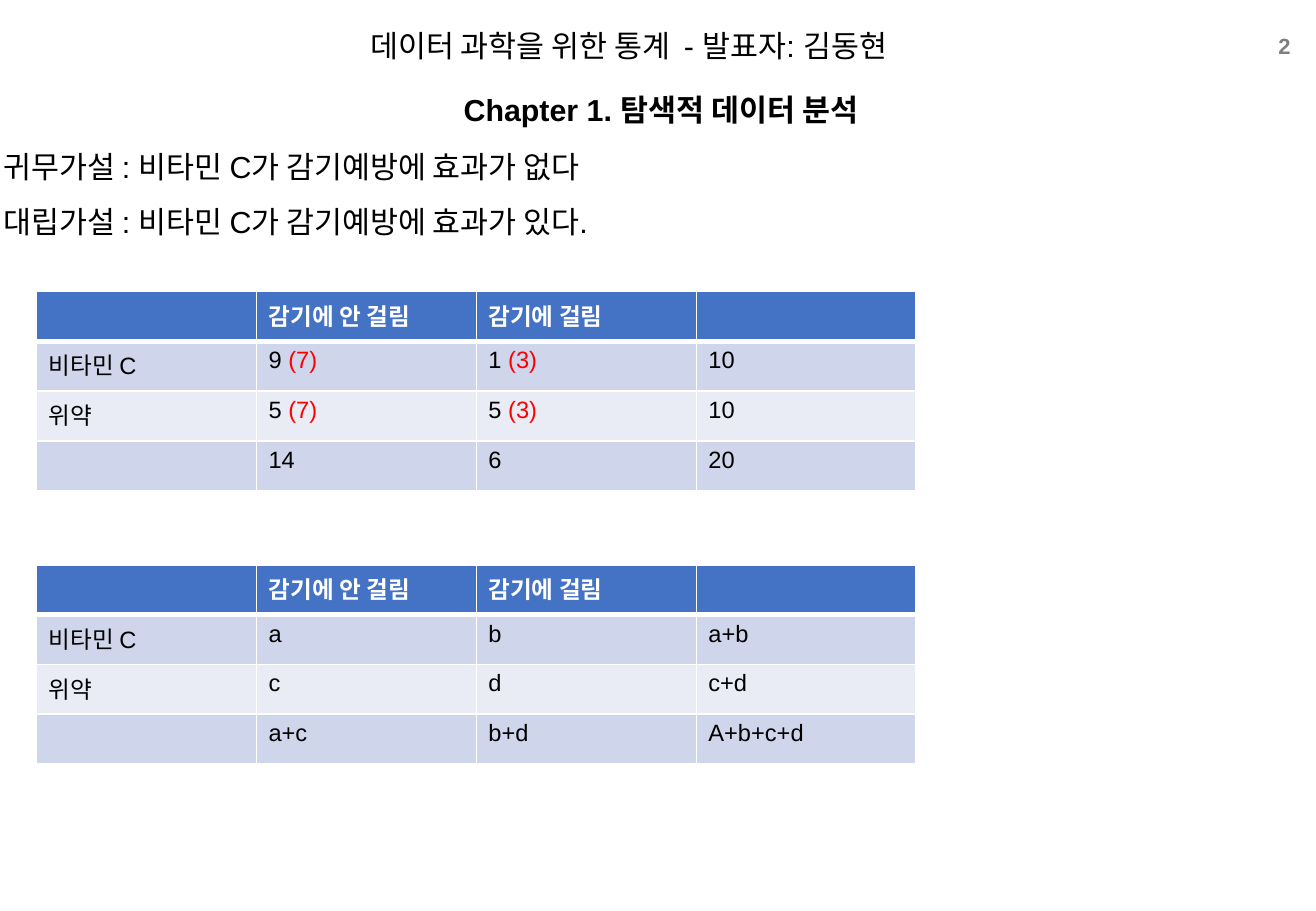
from pptx import Presentation
from pptx.dml.color import RGBColor as Rgb
from pptx.enum.text import MSO_ANCHOR as Anchor, PP_ALIGN as Align
from pptx.oxml import parse_xml
from pptx.oxml.ns import nsdecls
from pptx.util import Inches, Pt

WIDE, HIGH = 10.83, 7.5
LEFT, COL, ROW = 0.3, 1.81, 0.41
FONT = "Arial"
HUES = {
    "ink": "000000", "page": "7F7F7F", "white": "FFFFFF", "red": "FF0000",
    "head": "4472C4", "odd": "CFD5EA", "even": "E9EBF5",
}
HEAD = ["", "감기에 안 걸림", "감기에 걸림", ""]
COUNTS = [
    HEAD,
    ["비타민 C", "9 (7)", "1 (3)", "10"],
    ["위약", "5 (7)", "5 (3)", "10"],
    ["", "14", "6", "20"],
]
TERMS = [
    HEAD,
    ["비타민 C", "a", "b", "a+b"],
    ["위약", "c", "d", "c+d"],
    ["", "a+c", "b+d", "A+b+c+d"],
]


def hue(name):
    return Rgb.from_string(HUES[name])


def style(para, size, tint="ink", bold=False):
    font = para.font
    font.name, font.size, font.bold = FONT, Pt(size), bold
    font.color.rgb = hue(tint)


def add_text(slide, box, lines, size=18, tint="ink", bold=False,
             align=Align.CENTER, space=1.0, anchor=Anchor.TOP, pad=(0.1, 0.05)):
    frame = slide.shapes.add_textbox(*map(Inches, box)).text_frame
    frame.word_wrap = True
    frame.vertical_anchor = anchor
    frame.margin_left = frame.margin_right = Inches(pad[0])
    frame.margin_top = frame.margin_bottom = Inches(pad[1])
    frame.text = "\n".join(lines)
    for para in frame.paragraphs:
        style(para, size, tint, bold)
        para.alignment, para.line_spacing = align, space


def add_edge(cell, side, width):
    line = parse_xml(
        f'<a:ln{side} {nsdecls("a")} w="{Pt(width)}"><a:solidFill>'
        f'<a:srgbClr val="{HUES["white"]}"/></a:solidFill></a:ln{side}>')
    props = cell._tc.get_or_add_tcPr()
    props.insert("LRTB".index(side), line)


def fill_cell(cell, text, row):
    para = cell.text_frame.paragraphs[0]
    style(para, 14, "ink" if row else "white", bold=row == 0)
    count, mark, rest = text.partition("(")
    para.add_run().text = count
    if mark:
        guess = para.add_run()
        guess.text = mark + rest
        guess.font.color.rgb = hue("red")
    cell.fill.solid()
    cell.fill.fore_color.rgb = hue(("odd" if row % 2 else "even") if row else "head")
    for side in "LRTB":
        thick = (row, side) in ((0, "B"), (1, "T"))
        add_edge(cell, side, 3 if thick else 1)


def add_grid(slide, top, rows):
    size = len(rows), len(rows[0])
    box = LEFT, top, COL * size[1], ROW * size[0]
    table = slide.shapes.add_table(*size, *map(Inches, box)).table
    for col in table.columns:
        col.width = Inches(COL)
    for i, row in enumerate(rows):
        table.rows[i].height = Inches(ROW)
        for j, text in enumerate(row):
            fill_cell(table.cell(i, j), text, i)


def main():
    deck = Presentation()
    deck.slide_width, deck.slide_height = Inches(WIDE), Inches(HIGH)
    slide = deck.slides.add_slide(deck.slide_layouts[6])
    add_text(slide, (10.12, 0.22, 0.58, 0.32), ["2"], 13, "page", True,
             Align.RIGHT, anchor=Anchor.MIDDLE, pad=(0.08, 0.04))
    add_text(slide, (LEFT, 0.17, 0.9 * WIDE, 0.91),
             ["데이터 과학을 위한 통계  - 발표자: 김동현"])
    add_text(slide, (0.24, 0.7, 0.96 * WIDE, 0.4),
             ["Chapter 1. 탐색적 데이터 분석"], bold=True)
    add_text(slide, (-0.07, 1.02, WIDE + 0.07, 0.4),
             ["귀무가설 : 비타민 C가 감기예방에 효과가 없다",
              "대립가설 : 비타민 C가 감기예방에 효과가 있다."],
             align=Align.LEFT, space=1.5)
    for top, rows in ((2.4, COUNTS), (4.65, TERMS)):
        add_grid(slide, top, rows)
    deck.save("out.pptx")


if __name__ == "__main__":
    main()
